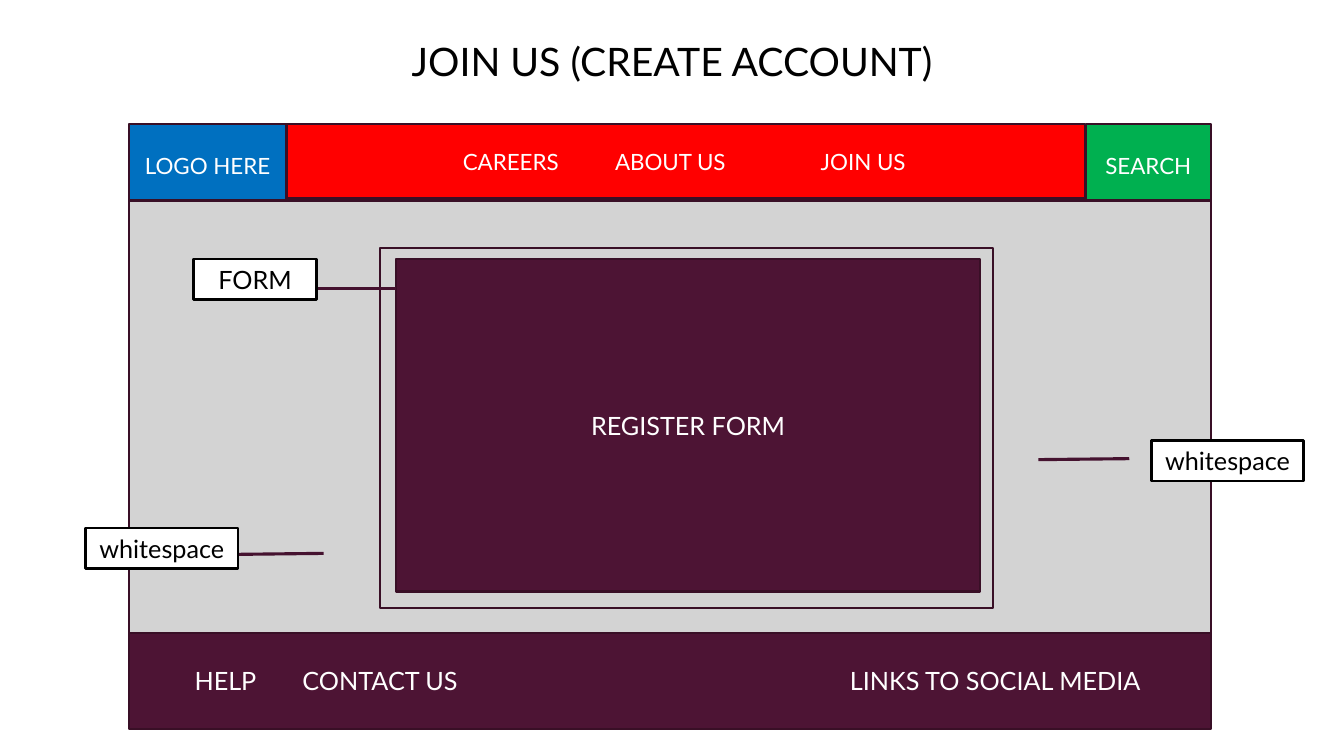
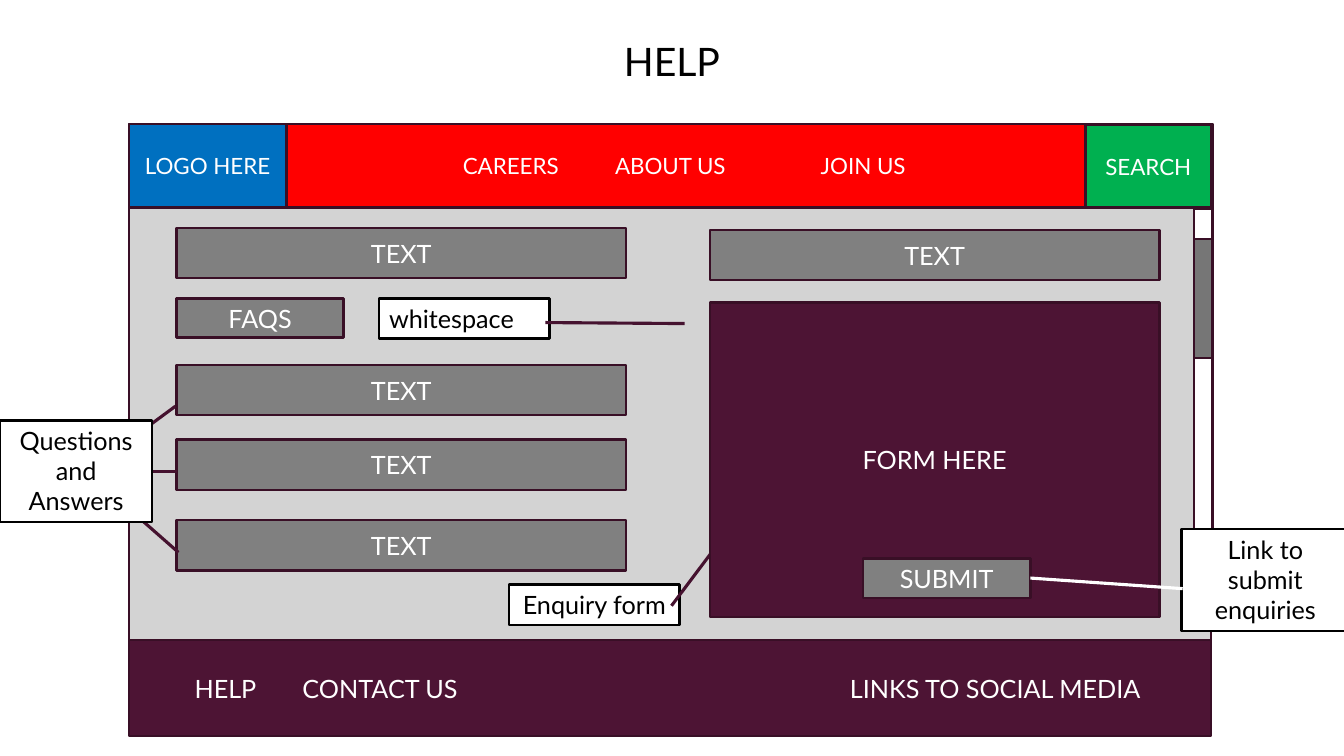
from dataclasses import dataclass

from lxml.etree import SubElement
from pptx import Presentation
from pptx.dml.color import RGBColor
from pptx.enum.shapes import MSO_CONNECTOR, MSO_SHAPE
from pptx.enum.text import MSO_ANCHOR, PP_ALIGN
from pptx.oxml.ns import qn
from pptx.util import Inches, Pt

WHITE = RGBColor(0xFF, 0xFF, 0xFF)
BLACK = RGBColor(0x00, 0x00, 0x00)
PLUM = RGBColor(0x4D, 0x14, 0x34)
OUTLINE = RGBColor(0x39, 0x0F, 0x26)
POINTER = RGBColor(0x45, 0x12, 0x2F)
BLUE = RGBColor(0x00, 0x70, 0xC0)
GREEN = RGBColor(0x00, 0xB0, 0x50)
RED = RGBColor(0xFF, 0x00, 0x00)
PALE_GREY = RGBColor(0xD3, 0xD3, 0xD3)
GREY = RGBColor(0x80, 0x80, 0x80)
THUMB_GREY = RGBColor(0x76, 0x76, 0x76)

FONT = "Lato"
SITE_LEFT, SITE_TOP, SITE_WIDTH = 1.28, 1.23, 10.73
BODY_HEIGHT, FOOTER_HEIGHT = 4.29, 0.95
LOGO_WIDTH, SEARCH_WIDTH, NAV_WIDTH = 1.56, 1.24, 7.92
TILE_HEIGHT = 0.83
LABEL_HEIGHT = 0.4
TEXT_WIDTH, TEXT_HEIGHT = 4.46, 0.5
BUTTON_WIDTH, BUTTON_HEIGHT = 1.66, 0.39


@dataclass
class Box:
    """A rectangle on the page, in inches."""

    left: float
    top: float
    width: float
    height: float

    def inner(self, left, top, width, height):
        """Return a box offset from this one's top left corner."""
        return Box(self.left + left, self.top + top, width, height)


def add_block(page, box, fill=None, text="", size=18, color=WHITE, line=OUTLINE,
              anchor=MSO_ANCHOR.MIDDLE, align=PP_ALIGN.CENTER):
    """Draw a rectangle with optional fill, outline and text."""
    block = page.shapes.add_shape(
        MSO_SHAPE.RECTANGLE, Inches(box.left), Inches(box.top),
        Inches(box.width), Inches(box.height))
    block.shadow.inherit = False
    if fill is None:
        block.fill.background()
    else:
        block.fill.solid()
        block.fill.fore_color.rgb = fill
    if line is None:
        block.line.fill.background()
    else:
        block.line.color.rgb = line
        block.line.width = Pt(1.75)
    if text:
        frame = block.text_frame
        frame.word_wrap = True
        frame.vertical_anchor = anchor
        para = frame.paragraphs[0]
        para.alignment = align
        span = para.add_run()
        span.text = text
        span.font.name = FONT
        span.font.size = Pt(size)
        span.font.color.rgb = color
    return block


def add_menu(page, box, fill, items, size, indent, stops):
    """Draw a bar whose items start at the indent and at tab stops after it."""
    bar = add_block(page, box, fill, "\t".join(items), size, align=PP_ALIGN.LEFT)
    bar.text_frame.margin_left = Inches(indent)
    properties = bar.text_frame.paragraphs[0]._p.get_or_add_pPr()
    tabs = SubElement(properties, qn("a:tabLst"))
    for stop in stops:
        SubElement(tabs, qn("a:tab"), pos=str(Inches(stop)), algn="l")


def add_label(page, box, text, align=PP_ALIGN.CENTER):
    """Draw a white callout label."""
    return add_block(page, box, WHITE, text, color=BLACK, line=BLACK,
                     anchor=MSO_ANCHOR.TOP, align=align)


def add_pointer(page, box, start, end, color=POINTER):
    """Draw a straight line between two offsets within a box."""
    pointer = page.shapes.add_connector(
        MSO_CONNECTOR.STRAIGHT,
        Inches(box.left + start[0]), Inches(box.top + start[1]),
        Inches(box.left + end[0]), Inches(box.top + end[1]))
    pointer.line.color.rgb = color
    pointer.line.width = Pt(2.25)
    SubElement(pointer._element.spPr, qn("a:effectLst"))
    return pointer


def add_site(page, title, site, search_top, nav_height, body_top):
    """Draw the title, header, body and footer, and return the body box."""
    body = site.inner(0, body_top, site.width, BODY_HEIGHT)
    add_block(page, Box(0, 0.21, 13.33, 0.78), WHITE, title, 28, BLACK, line=None)
    add_block(page, site.inner(0, 0, LOGO_WIDTH, TILE_HEIGHT), BLUE, "LOGO HERE", 16)
    add_block(page, site.inner(site.width - SEARCH_WIDTH, search_top,
                               SEARCH_WIDTH, TILE_HEIGHT), GREEN, "SEARCH", 16)
    add_block(page, body, PALE_GREY)
    add_menu(page, site.inner(LOGO_WIDTH, 0, NAV_WIDTH, nav_height), RED,
             ["CAREERS", "ABOUT US", "JOIN US"], 16, 1.75, [1.51, 3.55])
    add_menu(page, body.inner(0, body.height, body.width, FOOTER_HEIGHT), PLUM,
             ["HELP", "CONTACT US", "LINKS TO SOCIAL MEDIA"], 18, 0.65, [1.07, 6.5])
    return body


def add_register_body(page, body):
    """Draw the registration form and its callouts."""
    add_block(page, body.inner(2.49, 0.47, 6.08, 3.57))
    add_block(page, body.inner(2.65, 0.58, 5.79, 3.3), PLUM, "REGISTER FORM")
    callouts = [
        ("whitespace", -0.43, 3.25, 1.51, (1.93, 3.5), (1.04, 3.51)),
        ("FORM", 0.64, 0.58, 1.22, (2.65, 0.87), (1.75, 0.87)),
        ("whitespace", 10.14, 2.38, 1.51, (9.92, 2.56), (9.02, 2.57)),
    ]
    for text, left, top, width, start, end in callouts:
        add_pointer(page, body, start, end)
        add_label(page, body.inner(left, top, width, LABEL_HEIGHT), text)


def add_scrollbar(page, box):
    """Draw a scroll track with its thumb."""
    add_block(page, box, WHITE)
    add_block(page, box.inner(0, 0.3, box.width, 1.18), THUMB_GREY)


def add_questions(page, body):
    """Draw the question column and its callouts."""
    for top in (0.2, 1.56, 2.3, 3.1):
        add_block(page, body.inner(0.47, top, TEXT_WIDTH, TEXT_HEIGHT), GREY, "TEXT")
    add_block(page, body.inner(0.47, 0.9, BUTTON_WIDTH, BUTTON_HEIGHT), GREY, "FAQS")
    for start in ((0.48, 2.62), (0.46, 1.97), (0.49, 3.42)):
        add_pointer(page, body, start, (-0.42, 2.62))
    add_label(page, body.inner(-1.28, 2.11, 1.51, 1.01), "Questions and Answers")
    add_label(page, body.inner(2.48, 0.9, 1.69, LABEL_HEIGHT), "whitespace",
              PP_ALIGN.LEFT)
    add_pointer(page, body, (5.51, 1.15), (4.13, 1.14))


def add_enquiry(page, body):
    """Draw the enquiry form with its button and callouts."""
    add_block(page, body.inner(5.76, 0.22, TEXT_WIDTH, TEXT_HEIGHT), GREY, "TEXT")
    add_label(page, body.inner(3.77, 3.74, 1.69, LABEL_HEIGHT), "Enquiry form")
    add_pointer(page, body, (6.62, 2.3), (5.38, 3.95))
    add_label(page, body.inner(10.44, 3.19, 1.66, 1.01), "Link to submit enquiries")
    add_block(page, body.inner(5.76, 0.94, TEXT_WIDTH, 3.12), PLUM, "FORM HERE")
    submit = add_block(page, body.inner(7.28, 3.48, BUTTON_WIDTH, BUTTON_HEIGHT),
                       GREY, "SUBMIT")
    pointer = add_pointer(page, body, (10.45, 3.78), (8.94, 3.68), WHITE)
    pointer.end_connect(submit, 3)


def main():
    """Build and save the deck."""
    deck = Presentation()
    deck.slide_width, deck.slide_height = Inches(13.33), Inches(7.5)
    blank = deck.slide_layouts[6]
    site = Box(SITE_LEFT, SITE_TOP, SITE_WIDTH, 6)

    page = deck.slides.add_slide(blank)
    body = add_site(page, "JOIN US (CREATE ACCOUNT)", site, 0, 0.74, 0.76)
    add_register_body(page, body)

    page = deck.slides.add_slide(blank)
    add_block(page, site.inner(0, 0, 10.75, 4.98))
    body = add_site(page, "HELP", site, 0.01, TILE_HEIGHT, TILE_HEIGHT)
    add_scrollbar(page, body.inner(10.56, 0.01, 0.18, 3.96))
    add_questions(page, body)
    add_enquiry(page, body)

    deck.save("out.pptx")


if __name__ == "__main__":
    main()
